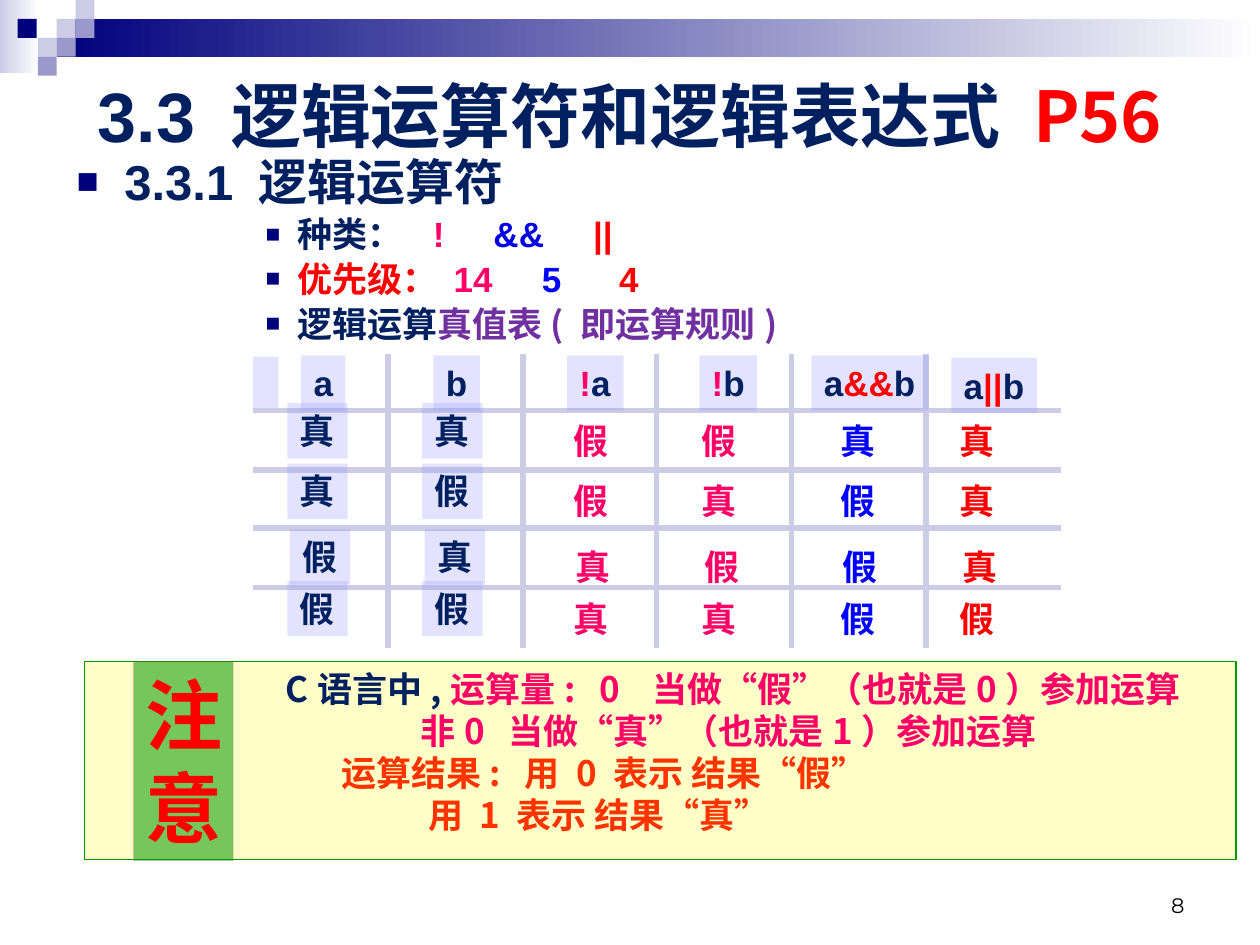
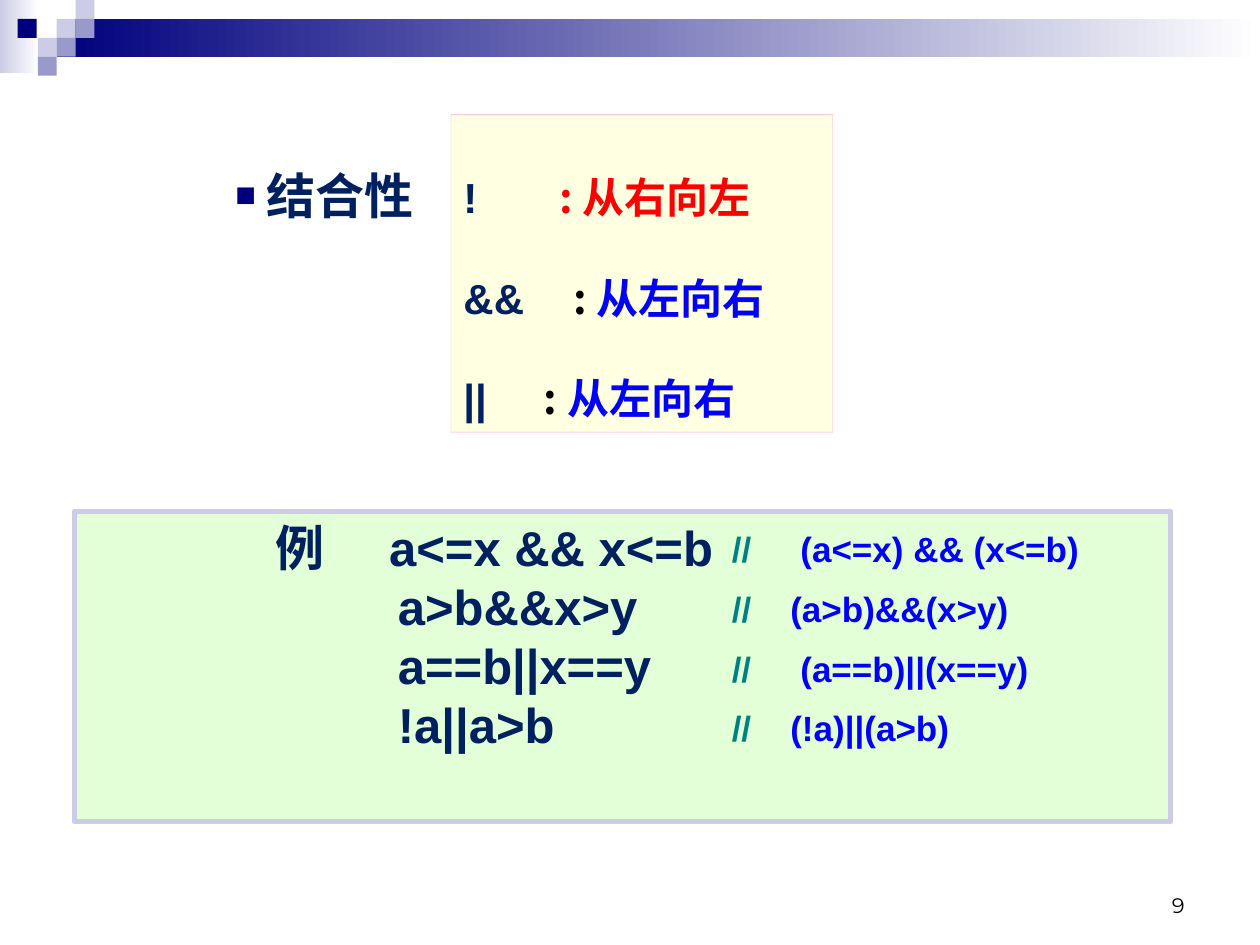
from typing import NamedTuple

from lxml.etree import SubElement
from pptx import Presentation
from pptx.dml.color import RGBColor
from pptx.enum.shapes import MSO_CONNECTOR, MSO_SHAPE
from pptx.enum.text import MSO_ANCHOR, PP_ALIGN
from pptx.oxml.ns import qn
from pptx.util import Emu, Pt

EMU_PER_PX = 9144
POINTS_PER_PX = 0.72
LATIN = "Arial"
CJK = "Noto Sans CJK SC"
NUMBER_FONT = "Montserrat"

INK = "002060"
NAVY = "00007D"
LILAC = "CCCCE6"
MAUVE = "9999CC"
RED = "FF0000"
BLUE = "0000FF"
PINK = "FF0066"
ORANGE = "FF3300"
PURPLE = "7030A0"
TEAL = "008080"
BLACK = "000000"


class Span(NamedTuple):
    text: str
    color: str = INK
    font: str = CJK
    gap: int = 0


def px(length):
    return Emu(length * EMU_PER_PX)


def rgb(color):
    return RGBColor.from_string(color)


def add_span(para, text, color, font, size, bold):
    span = para.add_run()
    span.text = text
    span.font.size = Pt(size)
    span.font.bold = bold
    span.font.name = font
    span.font.color.rgb = rgb(color)
    properties = span._r.get_or_add_rPr()
    SubElement(properties, qn("a:ea")).set("typeface", CJK)
    return properties


def write(para, spans, size, bold=True, leading=1.2, indent=0, hanging=0):
    para.line_spacing = Pt(round(size * leading, 1))
    layout = para._p.get_or_add_pPr()
    layout.set("marL", str(px(indent)))
    layout.set("indent", str(px(-hanging)))
    for span in spans:
        add_span(para, span.text, span.color, span.font, size, bold)
        if span.gap:
            space = add_span(para, " ", span.color, LATIN, size, bold)
            extra = span.gap * POINTS_PER_PX - size * 0.28
            space.set("spc", str(round(extra * 100)))


def add_bullet(para, percent):
    layout = para._p.get_or_add_pPr()
    color = SubElement(layout, qn("a:buClr"))
    SubElement(color, qn("a:srgbClr")).set("val", NAVY)
    SubElement(layout, qn("a:buSzPct")).set("val", str(percent * 1000))
    SubElement(layout, qn("a:buFont")).set("typeface", LATIN)
    SubElement(layout, qn("a:buChar")).set("char", "■")


def prepare(shape, wrap=True, anchor=MSO_ANCHOR.TOP):
    frame = shape.text_frame
    frame.word_wrap = wrap
    frame.vertical_anchor = anchor
    frame.paragraphs[0].alignment = PP_ALIGN.LEFT
    return frame


def add_text(page, box, wrap=True, anchor=MSO_ANCHOR.TOP):
    return prepare(page.shapes.add_textbox(*map(px, box)), wrap, anchor)


def add_para(frame, number):
    para = frame.paragraphs[0] if number == 0 else frame.add_paragraph()
    para.alignment = PP_ALIGN.LEFT
    return para


def add_rect(page, box, fill, line=None, width=0.25, alphas=()):
    shape = page.shapes.add_shape(MSO_SHAPE.RECTANGLE, *map(px, box))
    shape.shadow.inherit = False
    shape.fill.solid()
    shape.fill.fore_color.rgb = rgb(fill)
    if line:
        shape.line.color.rgb = rgb(line)
        shape.line.width = Pt(width)
    else:
        shape.line.fill.background()
    colors = list(shape._element.spPr.iter(qn("a:srgbClr")))
    for color, alpha in zip(colors, alphas):
        SubElement(color, qn("a:alpha")).set("val", str(alpha * 1000))
    return shape


def add_fading_rect(page, box, start):
    shape = add_rect(page, box, start)
    shape.fill.gradient()
    shape.fill.gradient_angle = 0
    for stop, color in zip(shape.fill.gradient_stops, (start, "FFFFFF")):
        stop.color.rgb = rgb(color)


def add_rule(page, start, end):
    rule = page.shapes.add_connector(MSO_CONNECTOR.STRAIGHT, *map(px, start + end))
    rule.line.color.rgb = rgb(LILAC)
    rule.line.width = Pt(3)
    SubElement(rule._element.spPr, qn("a:effectLst"))


def add_header(page):
    add_fading_rect(page, (0, 0, 31, 58), LILAC)
    add_fading_rect(page, (45, 15, 955, 30), NAVY)
    tiles = [(45, 15, LILAC), (60, 0, LILAC), (60, 15, MAUVE), (30, 30, LILAC),
             (14, 15, NAVY), (45, 30, MAUVE), (30, 45, MAUVE)]
    for left, top, color in tiles:
        add_rect(page, (left, top, 15, 15), color)


def add_page(deck, number):
    page = deck.slides.add_slide(deck.slide_layouts[6])
    add_header(page)
    para = add_text(page, (717, 683, 233, 50), anchor=MSO_ANCHOR.BOTTOM).paragraphs[0]
    write(para, [Span(str(number), BLACK, NUMBER_FONT)], 12, bold=False)
    para.alignment = PP_ALIGN.RIGHT
    return page


def add_title(page, box):
    para = add_text(page, box, anchor=MSO_ANCHOR.MIDDLE).paragraphs[0]
    write(para, [Span("3.3 ", font=LATIN), Span("逻辑运算符和逻辑表达式 "),
                 Span("P56", RED)], 40)
    para.alignment = PP_ALIGN.CENTER


def add_point(para, spans, size):
    write(para, spans, size, leading=1.08, indent=175, hanging=25)
    para.space_before = Pt(size * 0.2)
    add_bullet(para, 70)


def add_outline(page, box):
    frame = add_text(page, box)
    heading = add_para(frame, 0)
    write(heading, [Span("3.3.1 ", font=LATIN), Span("逻辑运算符")], 28,
          indent=38, hanging=38)
    heading.space_before = Pt(5.6)
    add_bullet(heading, 75)
    points = [
        [Span("种类：", gap=19), Span("!", PINK, LATIN, 39),
         Span("&&", "0000E4", LATIN, 39), Span("||", RED, LATIN)],
        [Span("优先级： ", RED), Span("14", PINK, LATIN, 39),
         Span("5", BLUE, LATIN, 46), Span("4", RED, LATIN)],
        [Span("逻辑运算"), Span("真值表( 即运算规则)", PURPLE)],
    ]
    for number, spans in enumerate(points, 1):
        add_point(add_para(frame, number), spans, 20)


def add_tinted_cell(page, box, spans):
    shape = add_rect(page, box, "9999FF", alphas=(27,))
    write(prepare(shape, wrap=False).paragraphs[0], spans, 20)


def add_truth_table(page, box):
    left, top, width, height = box
    add_rect(page, (left, top + 2, 20, 44), "9999FF", alphas=(27,))
    for row in range(4):
        y = top + 45 + round(row * 46.6)
        add_rule(page, (left, y), (left + width, y))
    for column in range(1, 6):
        x = left + round(column * width / 6)
        add_rule(page, (x, top), (x, top + height))

    headings = [
        (38, 1, 35, [("a", INK)]),
        (143, 1, 37, [("b", INK)]),
        (249, 1, 45, [("!", PINK), ("a", INK)]),
        (354, 1, 46, [("!", PINK), ("b", INK)]),
        (443, 1, 93, [("a", INK), ("&&", RED), ("b", INK)]),
        (554, 3, 68, [("a", INK), ("||", RED), ("b", INK)]),
    ]
    for x, y, cell_width, parts in headings:
        spans = [Span(text, color, LATIN) for text, color in parts]
        add_tinted_cell(page, (left + x, top + y, cell_width, 44), spans)

    columns = [(27, INK, "真真假假"), (134, INK, "真假真假"),
               (244, PINK, "假假真真"), (346, PINK, "假真假真"),
               (456, BLUE, "真假假假"), (551, RED, "真真真假")]
    row_places = [(0, 39), (0, 87), (2, 139), (0, 180)]
    for x, color, values in columns:
        for value, (shift, y) in zip(values, row_places):
            spans = [Span(value, color)]
            if color == INK:
                add_tinted_cell(page, (left + x + shift, top + y, 48, 44), spans)
            else:
                cell = (left + x + shift, top + y + 8, 48, 44)
                write(add_text(page, cell, wrap=False).paragraphs[0], spans, 20)


def add_note(page, box):
    left, top, width, height = box
    frame = prepare(add_rect(page, box, "FFFF00", "009900", 0.75, (22,)))
    lines = [
        (150, [Span("C语言中,"), Span("运算量:", PINK, gap=19),
               Span("0", PINK, gap=19), Span("当做“假”（也就是0）参加运算", PINK)]),
        (257, [Span("非0", PINK, gap=12), Span("当做“真”（也就是1）参加运算", PINK)]),
        (194, [Span("运算结果:", ORANGE, gap=12), Span("用 0 表示 结果“假”", ORANGE)]),
        (263, [Span("用 1 表示 结果“真”", ORANGE)]),
    ]
    for number, (indent, spans) in enumerate(lines):
        write(add_para(frame, number), spans, 20, indent=indent)
    label = add_rect(page, (left + 39, top, 79, height + 1), "009900", PINK,
                     alphas=(54, 32))
    write(prepare(label).paragraphs[0], [Span("注意", RED)], 44)


def add_associativity(page, box):
    left, top, width, height = box
    point = add_text(page, (left, top + 40, 900, 228)).paragraphs[0]
    add_point(point, [Span("结合性")], 28)
    panel = add_rect(page, (left + 331, top, width - 331, height), "FFFF66", PINK,
                     alphas=(19, 32))
    frame = prepare(panel)
    frame.margin_top = px(45)
    rules = [("!", 65, RED, "从右向左", RED), ("&&", 39, BLACK, "从左向右", BLUE),
             ("||", 45, BLACK, "从左向右", BLUE)]
    for number, (operator, gap, colon_color, direction, color) in enumerate(rules):
        para = add_para(frame, number)
        write(para, [Span(operator, font=LATIN, gap=gap), Span(":", colon_color),
                     Span(direction, color)], 24)
        if number:
            para.space_before = Pt(28.8)


def add_examples(page, box):
    left, top, width, height = box
    frame = prepare(add_rect(page, box, "66FF33", LILAC, 3, (19,)))
    examples = [
        ("a<=x && x<=b", 312, 39, "(a<=x) && (x<=b)"),
        ("a>b&&x>y", 241, 31, "(a>b)&&(x>y)"),
        ("a==b||x==y", 256, 39, "(a==b)||(x==y)"),
        ("!a||a>b", 193, 31, "(!a)||(a>b)"),
    ]
    for number, (code, comment_width, gap, meaning) in enumerate(examples):
        spans = [Span(code, font=LATIN)]
        if number == 0:
            spans.insert(0, Span("例", gap=44))
        write(add_para(frame, number), spans, 28, indent=247 if number else 150)
        place = (left + 512, top + 8 + round(number * 47.3), comment_width, 44)
        comment = add_text(page, place, wrap=False).paragraphs[0]
        write(comment, [Span("//", TEAL, LATIN, gap), Span(meaning, BLUE, LATIN)], 20)


def main():
    deck = Presentation()
    deck.slide_width, deck.slide_height = px(1000), px(750)

    operators_page = add_page(deck, 8)
    add_title(operators_page, (50, 50, 900, 81))
    add_outline(operators_page, (51, 115, 900, 402))
    add_truth_table(operators_page, (201, 281, 641, 233))
    add_note(operators_page, (67, 525, 914, 157))

    order_page = add_page(deck, 9)
    add_associativity(order_page, (27, 91, 634, 252))
    add_examples(order_page, (59, 406, 870, 246))

    deck.save("out.pptx")


if __name__ == "__main__":
    main()
